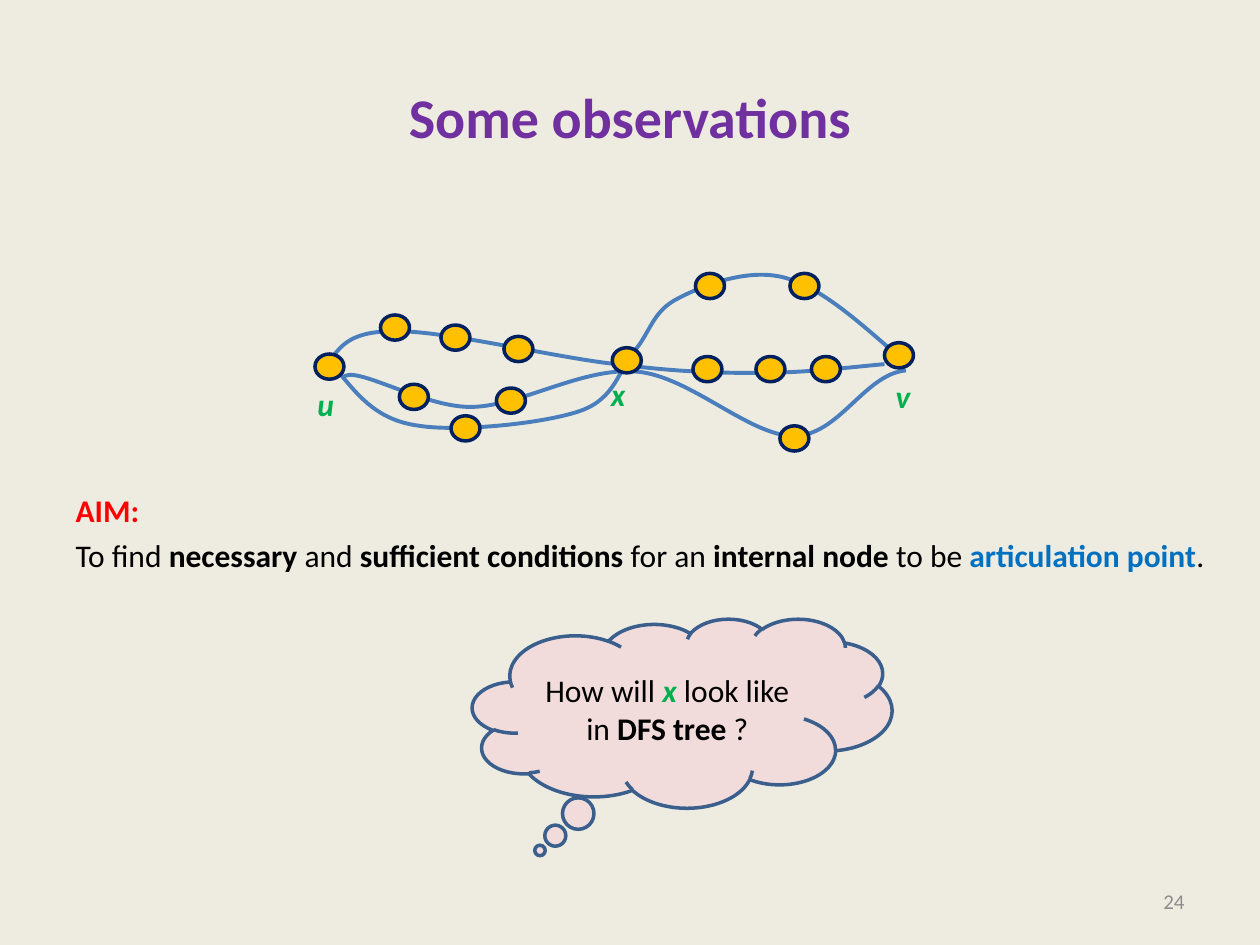
from lxml import etree
from pptx import Presentation
from pptx.dml.color import RGBColor
from pptx.enum.shapes import MSO_SHAPE
from pptx.enum.text import MSO_ANCHOR, MSO_AUTO_SIZE, PP_ALIGN
from pptx.oxml.ns import qn
from pptx.util import Inches, Pt

ELLIPSE = MSO_SHAPE.OVAL
CLOUD = MSO_SHAPE.CLOUD_CALLOUT
CENTER, RIGHT = PP_ALIGN.CENTER, PP_ALIGN.RIGHT
MIDDLE = MSO_ANCHOR.MIDDLE
NO_FIT, GROW = MSO_AUTO_SIZE.NONE, MSO_AUTO_SIZE.SHAPE_TO_FIT_TEXT

CREAM = RGBColor(0xEE, 0xEC, 0xE1)
PURPLE = RGBColor(0x70, 0x30, 0xA0)
RED = RGBColor(0xFF, 0x00, 0x00)
BLACK = RGBColor(0x00, 0x00, 0x00)
GRAY = RGBColor(0x8C, 0x8C, 0x8C)
BLUE = RGBColor(0x00, 0x70, 0xC0)
GREEN = RGBColor(0x00, 0xB0, 0x50)
GOLD = RGBColor(0xFF, 0xC0, 0x00)
NAVY = RGBColor(0x00, 0x20, 0x60)
PATH_BLUE = RGBColor(0x4B, 0x7E, 0xBC)
PINK = RGBColor(0xF2, 0xDC, 0xDB)
CLOUD_BLUE = RGBColor(0x3A, 0x5F, 0x8C)

NODE_WIDTH, NODE_HEIGHT = 0.23, 0.2

ROUTES = [
    ([(0.21, 0.98), (0.36, 1.16), (0.51, 1.34), (0.83, 1.38),
      (1.15, 1.43), (1.83, 1.36), (2.11, 1.26),
      (2.39, 1.16), (2.41, 0.93), (2.54, 0.78),
      (2.66, 0.64), (2.68, 0.47), (2.88, 0.37),
      (3.07, 0.27), (3.42, 0.13), (3.71, 0.2),
      (4, 0.27), (4.3, 0.54), (4.61, 0.81)],
     [(3.02, 0.17), (3.77, 0.17), (1.08, 1.3)]),
    ([(0.22, 1), (0.3, 0.88), (0.86, 1.24), (1.25, 1.23),
      (1.64, 1.22), (2.13, 0.91), (2.56, 0.95),
      (2.98, 0.99), (3.45, 1.46), (3.8, 1.46),
      (4.16, 1.46), (4.36, 0.97), (4.69, 0.94)],
     [(0.67, 1.05), (1.44, 1.08), (3.69, 1.38)]),
    ([(0.12, 0.86), (0.21, 0.74), (0.29, 0.62), (0.67, 0.63),
      (1.05, 0.63), (1.92, 0.84), (2.39, 0.89),
      (2.86, 0.95), (3.16, 0.96), (3.51, 0.96),
      (3.87, 0.96), (4.2, 0.92), (4.52, 0.89)],
     [(3.94, 0.83), (3.5, 0.83), (3, 0.83), (1, 0.58), (1.5, 0.67), (0.52, 0.5)]),
]

NAMED_NODES = [
    ("x", (2.36, 0.76), (2.25, 0.93), 0.32),
    ("v", (4.52, 0.72), (4.51, 0.94), 0.32),
    ("u", (0, 0.81), (-0.08, 1.01), 0.34),
]


def add_run(paragraph, text, size=18, color=BLACK, bold=False, italic=False):
    run = paragraph.add_run()
    run.text = text
    font = run.font
    font.name, font.size, font.bold, font.italic = "Calibri", Pt(size), bold, italic
    font.color.rgb = color


def place(shape, left, top, width, height):
    shape.left, shape.top = Inches(left), Inches(top)
    shape.width, shape.height = Inches(width), Inches(height)


def style_shape(shape, line_color, line_width, fill_color=None):
    shape.shadow.inherit = False
    if fill_color is None:
        shape.fill.background()
    else:
        shape.fill.solid()
        shape.fill.fore_color.rgb = fill_color
    shape.line.color.rgb = line_color
    shape.line.width = Pt(line_width)


def add_curve(shapes, left, top, points):
    corners = [(Inches(left + x), Inches(top + y)) for x, y in points]
    builder = shapes.build_freeform(*corners[0])
    builder.add_line_segments(corners[1:], close=False)
    curve = builder.convert_to_shape()
    style_shape(curve, PATH_BLUE, 2.25)
    path = next(curve.element.iter(qn("a:path")))
    segments = path.findall(qn("a:lnTo"))
    for start in range(0, len(segments), 3):
        bezier = etree.SubElement(path, qn("a:cubicBezTo"))
        for segment in segments[start:start + 3]:
            bezier.append(segment[0])
            path.remove(segment)


def add_node(shapes, left, top):
    node = shapes.add_shape(ELLIPSE, Inches(left), Inches(top),
                            Inches(NODE_WIDTH), Inches(NODE_HEIGHT))
    style_shape(node, NAVY, 2, GOLD)


def add_label(shapes, text, left, top, width):
    label = shapes.add_textbox(Inches(left), Inches(top), Inches(width), Inches(0.4))
    label.text_frame.word_wrap = False
    label.text_frame.auto_size = GROW
    add_run(label.text_frame.paragraphs[0], text, color=GREEN, bold=True, italic=True)


def add_graph(slide, left, top):
    for points, nodes in ROUTES:
        shapes = slide.shapes.add_group_shape().shapes
        add_curve(shapes, left, top, points)
        for x, y in nodes:
            add_node(shapes, left + x, top + y)
    for name, (x, y), (label_x, label_y), width in NAMED_NODES:
        shapes = slide.shapes.add_group_shape().shapes
        add_node(shapes, left + x, top + y)
        add_label(shapes, name, left + label_x, top + label_y, width)


def add_title(slide, left, top, width, height):
    title = slide.shapes.title
    place(title, left, top, width, height)
    title.text_frame.vertical_anchor = MIDDLE
    paragraph = title.text_frame.paragraphs[0]
    paragraph.alignment = CENTER
    add_run(paragraph, "Some observations", size=32, color=PURPLE, bold=True)


def add_aim(slide, left, top, width, height):
    body = slide.placeholders[1]
    place(body, left, top, width, height)
    frame = body.text_frame
    frame.auto_size = NO_FIT
    frame.margin_top = Inches(2.15)
    heading, sentence = frame.paragraphs[0], frame.add_paragraph()
    for paragraph, space in ((heading, 0), (sentence, 3.6)):
        paragraph.space_before = Pt(space)
        properties = paragraph._p.get_or_add_pPr()
        properties.set("marL", "0")
        properties.set("indent", "0")
        etree.SubElement(properties, qn("a:buNone"))
    add_run(heading, "AIM:", color=RED, bold=True)
    add_run(sentence, "To find ")
    add_run(sentence, "necessary ", bold=True)
    add_run(sentence, "and ")
    add_run(sentence, "sufficient conditions ", bold=True)
    add_run(sentence, "for an ")
    add_run(sentence, "internal node ", bold=True)
    add_run(sentence, "to be ")
    add_run(sentence, "articulation point", color=BLUE, bold=True)
    add_run(sentence, ".")


def add_question(slide, left, top, width, height):
    cloud = slide.shapes.add_shape(CLOUD, Inches(left), Inches(top),
                                   Inches(width), Inches(height))
    cloud.adjustments[0], cloud.adjustments[1] = -0.339, 0.727
    style_shape(cloud, CLOUD_BLUE, 2, PINK)
    cloud.text_frame.word_wrap = True
    cloud.text_frame.vertical_anchor = MIDDLE
    paragraph = cloud.text_frame.paragraphs[0]
    paragraph.alignment = CENTER
    add_run(paragraph, "How will ")
    add_run(paragraph, "x ", color=GREEN, bold=True, italic=True)
    add_run(paragraph, "look like in ")
    add_run(paragraph, "DFS tree ", bold=True)
    add_run(paragraph, "?")


def add_page_number(slide, left, top, width, height):
    box = slide.shapes.add_textbox(Inches(left), Inches(top), Inches(width), Inches(height))
    box.text_frame.word_wrap = True
    box.text_frame.vertical_anchor = MIDDLE
    paragraph = box.text_frame.paragraphs[0]
    paragraph.alignment = RIGHT
    add_run(paragraph, "24", size=12, color=GRAY)


def main():
    presentation = Presentation()
    presentation.slide_width, presentation.slide_height = Inches(10), Inches(7.5)
    slide = presentation.slides.add_slide(presentation.slide_layouts[1])
    slide.background.fill.solid()
    slide.background.fill.fore_color.rgb = CREAM
    add_title(slide, 0.5, 0.3, 9, 1.25)
    add_aim(slide, 0.5, 1.75, 9.25, 5.17)
    add_page_number(slide, 7.17, 6.95, 2.33, 0.4)
    add_question(slide, 3.75, 4.91, 3.33, 1.5)
    add_graph(slide, 2.5, 2)
    presentation.save("out.pptx")


if __name__ == "__main__":
    main()
